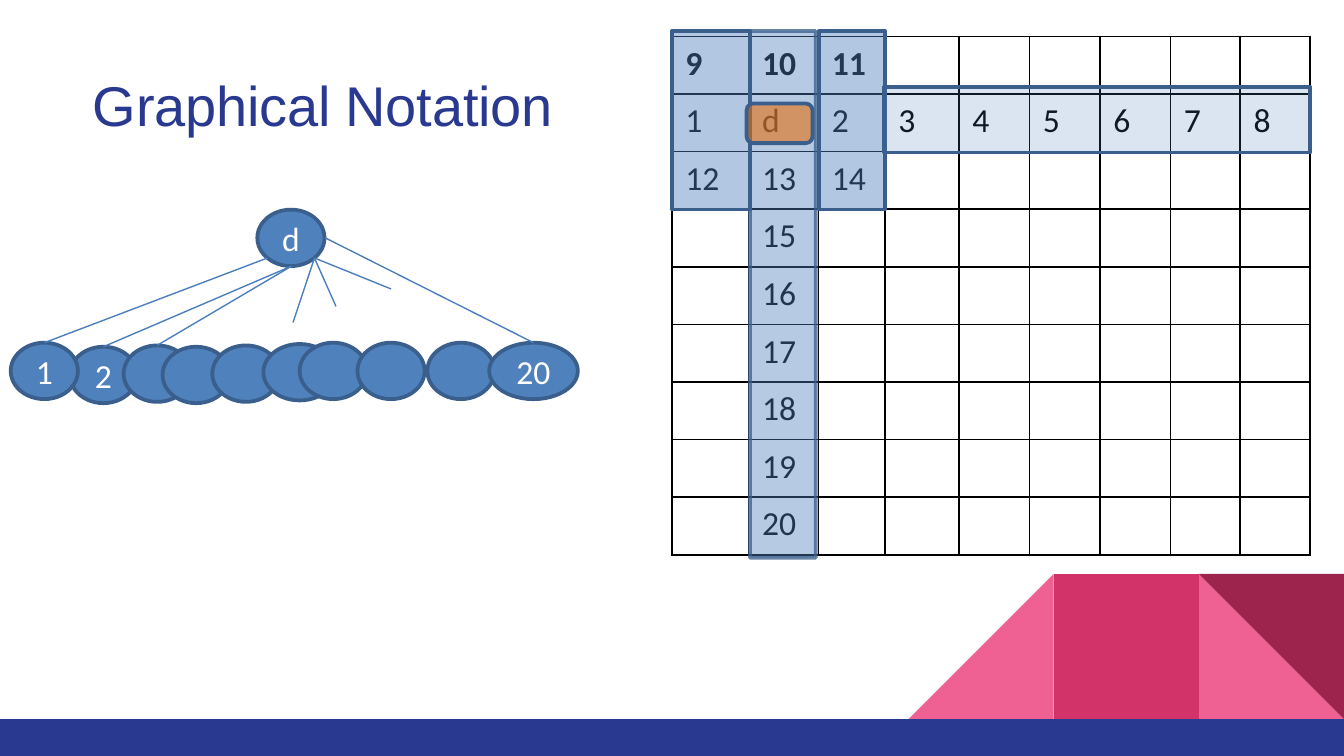
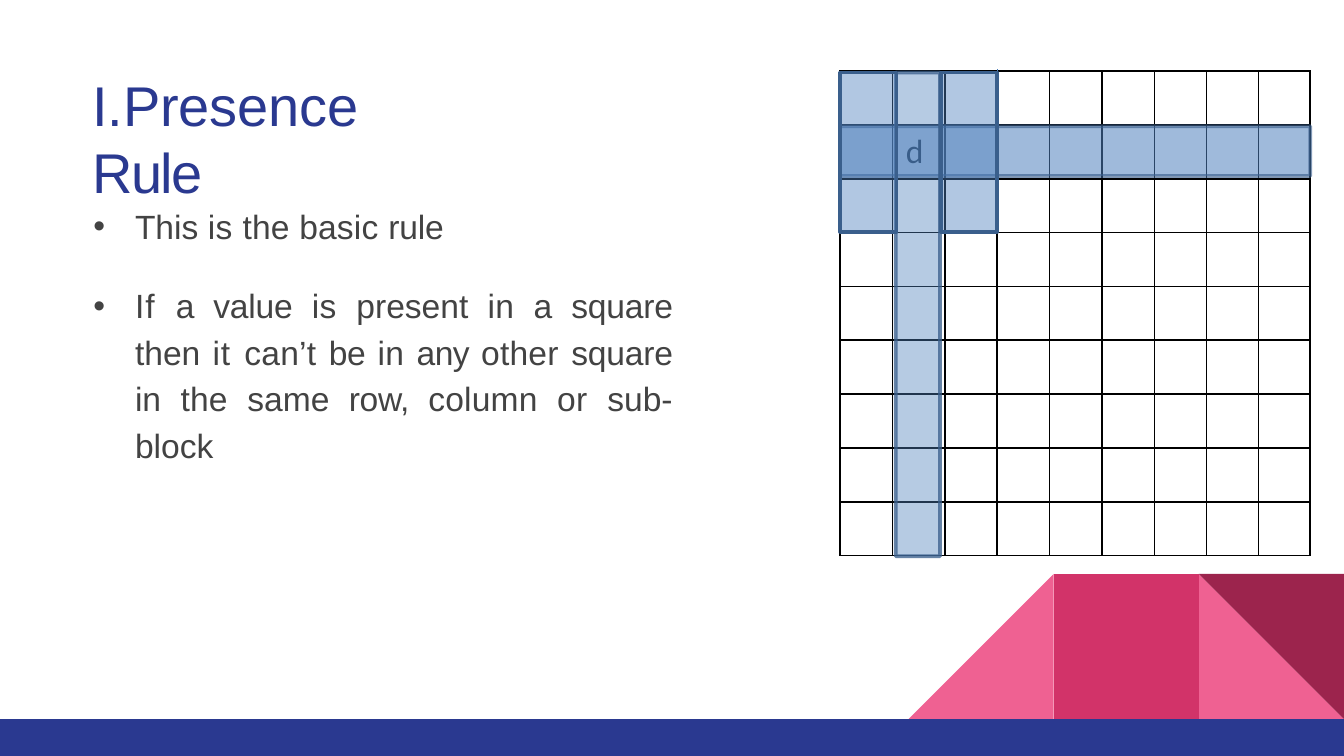
import pptx
import pptx.dml.color
import pptx.enum.dml
import pptx.enum.shapes
import pptx.enum.text
import pptx.oxml
import pptx.oxml.ns
import pptx.util

PX = 4572
WIDTH, HEIGHT = 2000, 1125
SHAPES = pptx.enum.shapes.MSO_SHAPE
ALIGN = pptx.enum.text.PP_ALIGN
COLORS = {
    "navy": "2A3990", "pink": "EF6192", "rose": "D23369", "wine": "9C244D",
    "blue": "4F81BD", "edge": "3A5F8C", "link": "4B7EBC", "orange": "E46C0A",
    "white": "FFFFFF", "black": "000000", "gray": "434343",
}


def px(n):
    """Turn px into EMU."""
    return pptx.util.Emu(n * PX)


def rgb(name):
    """Look up a named colour."""
    return pptx.dml.color.RGBColor.from_string(COLORS[name])


def add_xml(parent, tag, **attrs):
    """Append a DrawingML element and return it."""
    el = parent.makeelement(pptx.oxml.ns.qn(tag), attrs)
    parent.append(el)
    return el


def paint(fill, color, alpha=100):
    """Give a solid fill with an opacity in percent."""
    fill.solid()
    fill.fore_color.rgb = rgb(color)
    if alpha < 100:
        clr = fill._xPr.find(".//" + pptx.oxml.ns.qn("a:srgbClr"))
        add_xml(clr, "a:alpha", val=str(alpha * 1000))


def set_font(font, name, size, color):
    """Set the face, size and colour of a font."""
    font.name = name
    font.size = pptx.util.Pt(size)
    font.color.rgb = rgb(color)


def add_outline(slide, points, color):
    """Draw a closed, filled outline without a line."""
    builder = slide.shapes.build_freeform(*points[0], scale=PX)
    builder.add_line_segments(points[1:], close=True)
    sp = builder.convert_to_shape()
    paint(sp.fill, color)
    sp.line.fill.background()
    sp.shadow.inherit = False


def add_band(slide):
    """Draw the corner pattern and the footer band."""
    top, base, left, mid, right = 854, 1070, 1352, 1568, 1784
    add_outline(slide, [(right, top), (right, base), (WIDTH, base)], "pink")
    add_outline(slide, [(mid, top), (left, base), (mid, base)], "pink")
    add_outline(slide, [(mid, base), (right, base), (right, top), (mid, top)], "rose")
    add_outline(slide, [(WIDTH, top), (right, top), (WIDTH, base)], "wine")
    add_outline(slide, [(0, HEIGHT), (WIDTH, HEIGHT), (WIDTH, base), (0, base)], "navy")


def add_text_frame(slide, x, y, w, h):
    """Add a wrapping text box with tight insets."""
    tf = slide.shapes.add_textbox(px(x), px(y), px(w), px(h)).text_frame
    tf.word_wrap = True
    tf.auto_size = pptx.enum.text.MSO_AUTO_SIZE.SHAPE_TO_FIT_TEXT
    tf.margin_left = tf.margin_right = tf.margin_bottom = 0
    tf.margin_top = px(2)
    return tf


def add_runs(p, runs):
    """Add (text, letter spacing in hundredths of a point) runs."""
    for text, spacing in runs:
        r = p.add_run()
        r.text = text
        r._r.get_or_add_rPr().set("spc", str(spacing))


def add_title(slide, w, runs):
    """Add the slide title."""
    p = add_text_frame(slide, 136, 103, w, 105).paragraphs[0]
    p.space_before = pptx.util.Pt(1)
    p._p.get_or_add_pPr().set("marL", str(px(2)))
    set_font(p.font, "Arial", 30, "navy")
    add_runs(p, runs)


def format_bullet(p, before):
    """Make a paragraph a hanging bullet."""
    p.space_before = pptx.util.Pt(before)
    pPr = p._p.get_or_add_pPr()
    pPr.set("marL", str(px(65)))
    pPr.set("indent", str(px(-62)))
    add_xml(pPr, "a:buFont", typeface="Arial")
    add_xml(pPr, "a:buChar", char="•")
    set_font(p.font, "Arial", 18, "gray")


def format_cell(cell):
    """Give a cell thin black borders and a white fill."""
    tcPr = cell._tc.get_or_add_tcPr()
    for side in "LRTB":
        ln = add_xml(tcPr, f"a:ln{side}", w=str(pptx.util.Pt(1)))
        add_xml(add_xml(ln, "a:solidFill"), "a:srgbClr", val=COLORS["black"])
    paint(cell.fill, "white")
    cell.margin_bottom = 0


def add_grid(slide, x, y, widths, h, rows, bold_first=False):
    """Add a square table with equal rows, filled from the top left."""
    n = len(widths)
    tbl = slide.shapes.add_table(n, n, px(x), px(y), px(sum(widths)), px(h)).table
    tbl.first_row = tbl.horz_banding = False
    for col, w in zip(tbl.columns, widths):
        col.width = px(w)
    for row in tbl.rows:
        row.height = px(h) // n
        for cell in row.cells:
            format_cell(cell)
    for i, texts in enumerate(rows):
        for j, text in enumerate(texts):
            if text:
                p = tbl.cell(i, j).text_frame.paragraphs[0]
                p.add_run().text = text
                set_font(p.font, "Calibri", 18, "black")
                p.font.bold = bold_first and i == 0


def add_block(slide, kind, x, y, w, h, color="blue", alpha=100, line_alpha=100):
    """Add an outlined preset shape."""
    sp = slide.shapes.add_shape(kind, px(x), px(y), px(w), px(h))
    sp.shadow.inherit = False
    paint(sp.fill, color, alpha)
    sp.line.width = pptx.util.Pt(2)
    paint(sp.line.fill, "edge", line_alpha)
    return sp


def add_node(slide, x, y, w=100, text=""):
    """Add a tree node with an optional label."""
    sp = add_block(slide, SHAPES.OVAL, x, y, w, 84)
    if text:
        p = sp.text_frame.paragraphs[0]
        p.text = text
        p.alignment = ALIGN.CENTER
        set_font(p.font, "Calibri", 18, "white")
    return sp


def add_link(slide, x1, y1, x2, y2, node=None):
    """Add a thin line, joined to the top of a node if given."""
    ln = slide.shapes.add_connector(
        pptx.enum.shapes.MSO_CONNECTOR.STRAIGHT, px(x1), px(y1), px(x2), px(y2))
    ln.line.width = pptx.util.Pt(0.75)
    ln.line.color.rgb = rgb("link")
    add_xml(ln._element.spPr, "a:effectLst")
    if node is not None:
        ln.end_connect(node, 0)


def build_notation(slide):
    """Build the slide with the numbered grid and its tree."""
    add_band(slide)
    add_title(slide, 798, [("Graphical Notation", -10)])
    rows = [["9", "10", "11"], ["1", "d"] + [str(n) for n in range(2, 9)], ["12", "13", "14"]]
    rows += [["", str(n)] for n in range(15, 21)]
    widths = [114, 104, 99, 110] + [105] * 3 + [104] * 2
    add_grid(slide, 1000, 54, widths, 772, rows, bold_first=True)
    add_block(slide, SHAPES.RECTANGLE, 1116, 46, 98, 784, alpha=41, line_alpha=77)
    add_block(slide, SHAPES.RECTANGLE, 1000, 46, 116, 266, alpha=44)
    add_block(slide, SHAPES.RECTANGLE, 1219, 46, 98, 266, alpha=44)
    add_block(slide, SHAPES.RECTANGLE, 1316, 129, 634, 98, alpha=20)
    add_block(slide, SHAPES.ROUNDED_RECTANGLE, 1111, 154, 98, 59, "orange", 59)

    add_node(slide, 383, 312, text="d")
    second = add_node(slide, 104, 516, text="2")
    first = add_node(slide, 16, 510, text="1")
    third = add_node(slide, 184, 514)
    for x, y, w in [(242, 516, 100), (316, 514, 100), (392, 512, 108),
                    (446, 510, 100), (532, 510, 100), (636, 510, 100)]:
        add_node(slide, x, y, w)
    last = add_node(slide, 728, 510, 132, "20")
    add_link(slide, 398, 384, 66, 510, first)
    add_link(slide, 434, 396, 154, 516, second)
    add_link(slide, 434, 396, 234, 514, third)
    add_link(slide, 484, 354, 794, 510, last)
    for x, y in [(436, 480), (582, 430), (500, 456)]:
        add_link(slide, 468, 384, x, y)


def build_presence(slide):
    """Build the slide with the presence rule."""
    add_band(slide)
    add_title(slide, 580, [("I.Presence ", -10), ("Rule", -90)])
    tf = add_text_frame(slide, 136, 304, 865, 322)
    p = tf.paragraphs[0]
    format_bullet(p, 1)
    add_runs(p, [("This ", 0), ("is ", 20), ("the basic ", 10), ("rule", -10)])
    p = tf.add_paragraph()
    p.alignment = ALIGN.JUSTIFY
    p.line_spacing = 1.15
    format_bullet(p, 17.9)
    add_runs(p, [
        ("If ", 50), ("a ", -20), ("value ", -10), ("is ", 20), ("present ", 0),
        ("in ", 10), ("a ", -20), ("square ", -10), ("then ", 0), ("it ", 50),
        ("can’t ", 10), ("be ", -20), ("in ", 10), ("any ", -30), ("other ", 10),
        ("square ", -10), ("in ", 0), ("the ", 10), ("same ", 0), ("row, ", -20),
        ("column or ", 10), ("sub-block", 0)])
    add_grid(slide, 1250, 106, [78] * 7 + [77] * 2, 721, [[], ["", "d"]])
    add_link(slide, 1484, 130, 1484, 102)
    add_block(slide, SHAPES.RECTANGLE, 1250, 188, 700, 74, alpha=54, line_alpha=63)
    add_block(slide, SHAPES.RECTANGLE, 1333, 108, 66, 720, alpha=41, line_alpha=77)
    for x in (1250, 1400):
        add_block(slide, SHAPES.RECTANGLE, x, 108, 84, 237, alpha=44)


def main():
    """Build and save the deck."""
    prs = pptx.Presentation()
    prs.slide_width, prs.slide_height = px(WIDTH), px(HEIGHT)
    for build in (build_notation, build_presence):
        build(prs.slides.add_slide(prs.slide_layouts[6]))
    prs.save("out.pptx")


if __name__ == "__main__":
    main()
